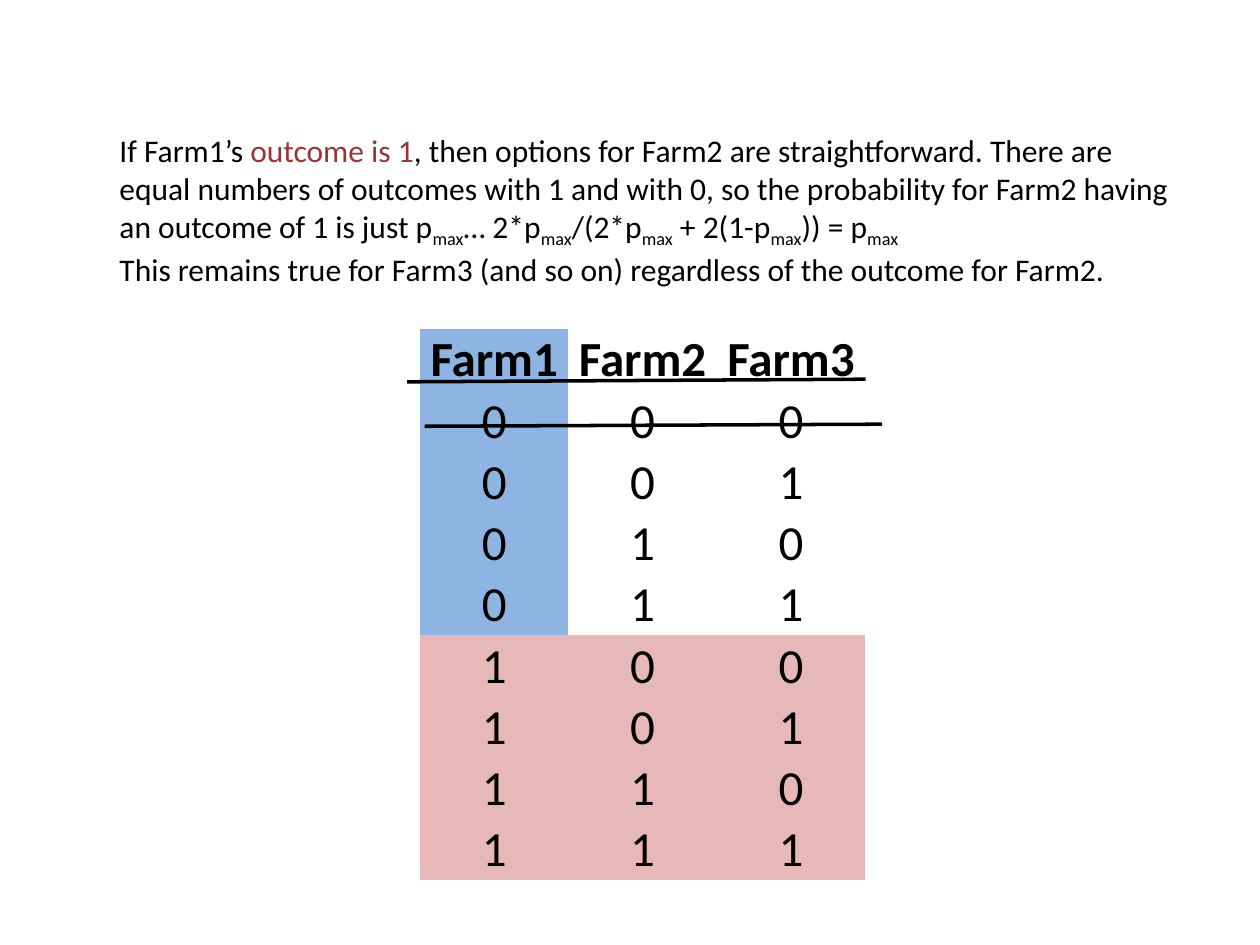
from dataclasses import dataclass
from itertools import product

from pptx import Presentation
from pptx.dml.color import RGBColor
from pptx.enum.shapes import MSO_CONNECTOR
from pptx.enum.text import MSO_ANCHOR, MSO_AUTO_SIZE, PP_ALIGN
from pptx.oxml.ns import qn
from pptx.slide import Slide
from pptx.util import Pt
from lxml.etree import SubElement

BLACK = RGBColor(0x00, 0x00, 0x00)
DARK_RED = RGBColor(0x95, 0x37, 0x35)
BLUE = RGBColor(0x8E, 0xB4, 0xE3)
PINK = RGBColor(0xE6, 0xB9, 0xB8)
FONT = "Calibri"
NO_STYLE_NO_GRID = "{2D5ABB26-0587-4C30-8999-92F81FD0307C}"
FARMS = ("Farm1", "Farm2", "Farm3")
COLUMN_WIDTH = 84.8
ROW_HEIGHT = 34.56


@dataclass(frozen=True)
class TextPart:
    text: str
    color: RGBColor = BLACK
    subscript: bool = False


@dataclass(frozen=True)
class Rule:
    left: float
    start_y: float
    right: float
    end_y: float


MAX = TextPart("max", subscript=True)
EXPLANATION = (
    (
        TextPart("If Farm1’s "),
        TextPart("outcome is 1", DARK_RED),
        TextPart(
            ", then options for Farm2 are straightforward. There are equal numbers "
            "of outcomes with 1 and with 0, so the probability for Farm2 having an "
            "outcome of 1 is just p"
        ),
        MAX,
        TextPart("… 2*p"),
        MAX,
        TextPart("/(2*p"),
        MAX,
        TextPart(" + 2(1-p"),
        MAX,
        TextPart(")) = p"),
        MAX,
    ),
    (TextPart("This remains true for Farm3 (and so on) regardless of the outcome for Farm2."),),
)
RULES = (
    Rule(232.6, 218.2, 494.6, 216.7),
    Rule(242.6, 243.6, 504, 242.4),
)


def add_outcome_table(slide: Slide) -> None:
    rows = [FARMS, *product("01", repeat=len(FARMS))]
    table = slide.shapes.add_table(
        len(rows), len(FARMS), Pt(240), Pt(188),
        Pt(COLUMN_WIDTH * len(FARMS)), Pt(ROW_HEIGHT * len(rows)),
    ).table
    table.first_row = False
    table.horz_banding = False
    table._tbl.tblPr.find(qn("a:tableStyleId")).text = NO_STYLE_NO_GRID
    for row_index, values in enumerate(rows):
        for column_index, value in enumerate(values):
            cell = table.cell(row_index, column_index)
            cell.margin_left = cell.margin_right = cell.margin_top = Pt(0.75)
            cell.margin_bottom = Pt(0)
            cell.vertical_anchor = MSO_ANCHOR.BOTTOM
            if values[0] == "1":
                cell.fill.solid()
                cell.fill.fore_color.rgb = PINK
            elif column_index == 0:
                cell.fill.solid()
                cell.fill.fore_color.rgb = BLUE
            else:
                cell.fill.background()
            paragraph = cell.text_frame.paragraphs[0]
            paragraph.text = value
            paragraph.alignment = PP_ALIGN.CENTER
            paragraph.font.name = FONT
            paragraph.font.size = Pt(28)
            paragraph.font.bold = row_index == 0
            paragraph.font.color.rgb = BLACK


def add_explanation(slide: Slide) -> None:
    shape = slide.shapes.add_textbox(Pt(61.2), Pt(71.3), Pt(624.2), Pt(116.6))
    text_frame = shape.text_frame
    text_frame.word_wrap = True
    text_frame.auto_size = MSO_AUTO_SIZE.SHAPE_TO_FIT_TEXT
    for index, parts in enumerate(EXPLANATION):
        paragraph = text_frame.add_paragraph() if index else text_frame.paragraphs[0]
        paragraph.font.name = FONT
        paragraph.font.size = Pt(18)
        for part in parts:
            run = paragraph.add_run()
            run.text = part.text
            run.font.color.rgb = part.color
            if part.subscript:
                run._r.get_or_add_rPr().set("baseline", "-25000")


def add_rule(slide: Slide, rule: Rule) -> None:
    connector = slide.shapes.add_connector(
        MSO_CONNECTOR.STRAIGHT,
        Pt(rule.left), Pt(rule.start_y), Pt(rule.right), Pt(rule.end_y),
    )
    connector.line.color.rgb = BLACK
    connector.line.width = Pt(2)
    SubElement(connector._element.spPr, qn("a:effectLst"))


def main() -> None:
    presentation = Presentation()
    presentation.slide_width = Pt(720)
    presentation.slide_height = Pt(540)
    slide = presentation.slides.add_slide(presentation.slide_layouts[6])
    add_outcome_table(slide)
    add_explanation(slide)
    for rule in RULES:
        add_rule(slide, rule)
    presentation.save("out.pptx")


if __name__ == "__main__":
    main()
